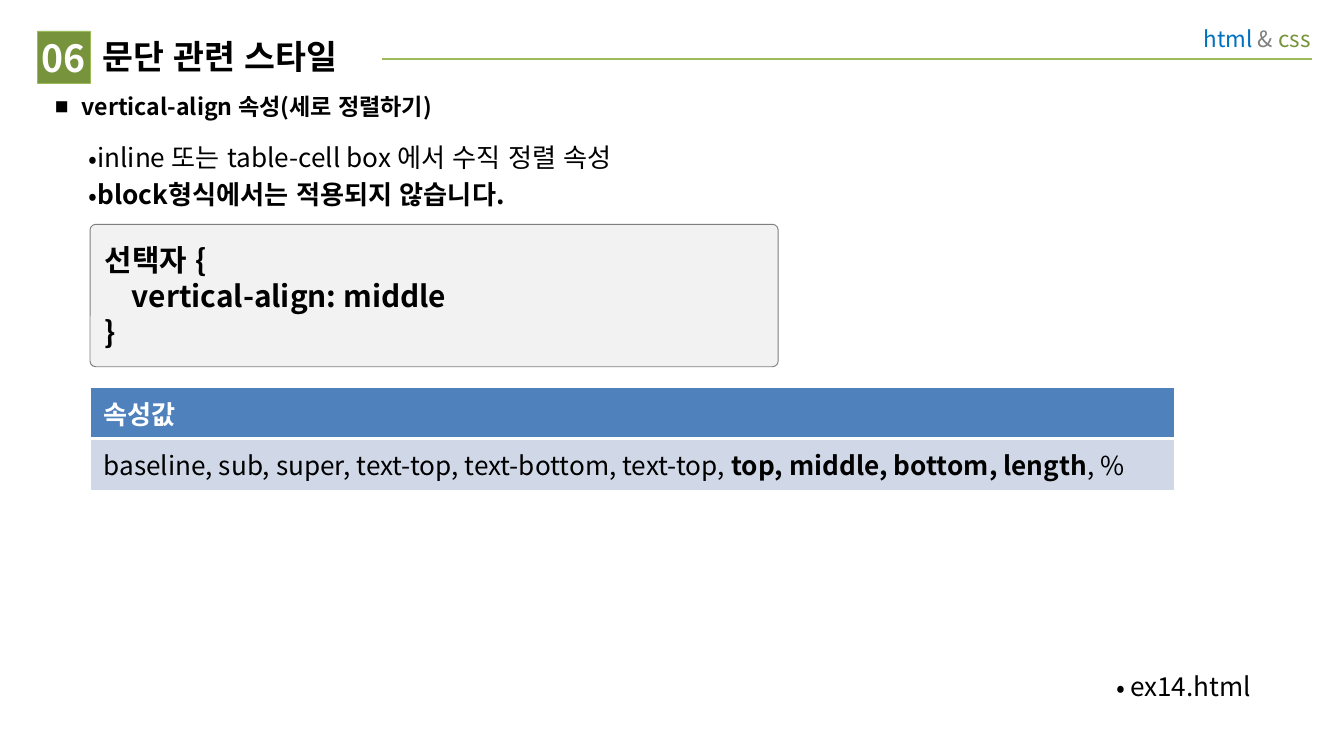
from lxml import etree
from pptx import Presentation
from pptx.dml.color import RGBColor
from pptx.enum.lang import MSO_LANGUAGE_ID
from pptx.enum.shapes import MSO_CONNECTOR, MSO_SHAPE
from pptx.enum.text import MSO_ANCHOR, MSO_AUTO_SIZE, PP_ALIGN
from pptx.oxml.ns import qn
from pptx.util import Emu, Inches, Pt

LINE = MSO_CONNECTOR.STRAIGHT
RECT, ROUND = MSO_SHAPE.RECTANGLE, MSO_SHAPE.ROUNDED_RECTANGLE
TOP, MIDDLE = MSO_ANCHOR.TOP, MSO_ANCHOR.MIDDLE
LEFT, CENTER, RIGHT = PP_ALIGN.LEFT, PP_ALIGN.CENTER, PP_ALIGN.RIGHT
NO_FIT = MSO_AUTO_SIZE.NONE
KOREAN = MSO_LANGUAGE_ID.KOREAN

# On-screen 16:9 page
PAGE = Emu(9144000), Emu(5145088)
FONT = "Noto Sans CJK KR"
COLORS = {
    "black": "000000", "white": "FFFFFF", "blue": "0070C0", "gray": "7F7F7F",
    "green": "77933C", "lime": "9BBB59", "pale": "F2F2F2",
    "head": "4F81BD", "row": "D0D8E8",
}


def color(name):
    return RGBColor.from_string(COLORS[name])


def style(run, size, tint="black", bold=False):
    font = run.font
    font.name, font.size, font.bold = FONT, Pt(size), bold
    font.language_id = KOREAN
    font.color.rgb = color(tint)
    east = etree.SubElement(run._r.get_or_add_rPr(), qn("a:ea"))
    east.set("typeface", FONT)


def add_runs(para, parts, size, align=LEFT):
    """Each part is (text, color, bold)."""
    para.alignment = align
    for text, tint, bold in parts:
        run = para.add_run()
        run.text = text
        style(run, size, tint, bold)


def set_bullet(para, char, margin, hang, scale):
    props = para._p.get_or_add_pPr()
    props.set("marL", str(Inches(margin)))
    props.set("indent", str(-Inches(hang)))
    tint = etree.SubElement(props, qn("a:buClr"))
    etree.SubElement(tint, qn("a:srgbClr")).set("val", COLORS["black"])
    etree.SubElement(props, qn("a:buSzPct")).set("val", str(scale * 1000))
    etree.SubElement(props, qn("a:buFont")).set("typeface", FONT)
    etree.SubElement(props, qn("a:buChar")).set("char", char)


def set_frame(frame, insets, anchor=TOP, wrap=True):
    frame.auto_size = NO_FIT
    frame.word_wrap = wrap
    frame.vertical_anchor = anchor
    (frame.margin_left, frame.margin_top,
     frame.margin_right, frame.margin_bottom) = map(Inches, insets)


def add_box(slide, area, insets=(0.1, 0.05, 0.1, 0.05), wrap=True):
    frame = slide.shapes.add_textbox(*map(Inches, area)).text_frame
    set_frame(frame, insets, wrap=wrap)
    return frame


def add_list(slide, area, items, size, char, margin, hang,
             scale=100, wrap=True):
    """Each item is (text, bold)."""
    frame = add_box(slide, area, wrap=wrap)
    for i, (text, bold) in enumerate(items):
        para = frame.add_paragraph() if i else frame.paragraphs[0]
        set_bullet(para, char, margin, hang, scale)
        if i:
            para.space_before = Pt(3.5)
        add_runs(para, [(text, "black", bold)], size)


def add_panel(slide, kind, area, fill, edge, width, insets):
    shape = slide.shapes.add_shape(kind, *map(Inches, area))
    shape.shadow.inherit = False
    shape.fill.solid()
    shape.fill.fore_color.rgb = color(fill)
    shape.line.color.rgb = color(edge)
    shape.line.width = Pt(width)
    set_frame(shape.text_frame, insets, MIDDLE)
    return shape


def add_rule(slide, left, right, y):
    rule = slide.shapes.add_connector(
        LINE, Inches(left), Inches(y), Inches(right), Inches(y))
    rule.line.color.rgb = color("lime")
    rule.line.width = Pt(1.5)
    etree.SubElement(rule._element.spPr, qn("a:effectLst"))


def set_title(slide, text):
    title = slide.shapes.title
    title.left, title.top, title.width, title.height = map(
        Inches, (0.68, 0.23, 2.16, 0.39))
    frame = title.text_frame
    set_frame(frame, (0.08, 0.04, 0, 0.04))
    add_runs(frame.paragraphs[0], [(text, "black", True)], 18)


def set_cell(cell, parts, fill, top, bottom):
    add_runs(cell.text_frame.paragraphs[0], parts, 14)
    props = cell._tc.get_or_add_tcPr()
    for tag, width in (("lnL", 0.45), ("lnR", 0.45),
                       ("lnT", top), ("lnB", bottom)):
        edge = etree.SubElement(props, qn("a:" + tag))
        edge.set("w", str(Pt(width)))
        paint = etree.SubElement(edge, qn("a:solidFill"))
        etree.SubElement(paint, qn("a:srgbClr")).set("val", COLORS["white"])
    cell.fill.solid()
    cell.fill.fore_color.rgb = color(fill)


def add_values(slide):
    area = map(Inches, (0.67, 2.88, 8.07, 0.73))
    table = slide.shapes.add_table(2, 1, *area).table
    set_cell(table.cell(0, 0), [("속성값", "white", True)], "head", 0.45, 1.47)
    set_cell(table.cell(1, 0), [
        ("baseline, sub, super, text-top, text-bottom, text-top, ",
         "black", False),
        ("top, middle, bottom, length", "black", True),
        (", %", "black", False),
    ], "row", 1.47, 0.45)


def main():
    prs = Presentation()
    prs.slide_width, prs.slide_height = PAGE
    slide = prs.slides.add_slide(prs.slide_layouts[5])

    # Header: rule, course name, title and number badge
    add_rule(slide, 2.84, 9.76, 0.44)
    course = add_box(slide, (8.31, 0.11, 1.54, 0.36), (0.1, 0.08, 0.1, 0.08))
    add_runs(course.paragraphs[0], [
        ("html ", "blue", False), ("& ", "gray", False),
        ("css", "green", False)], 12, RIGHT)
    set_title(slide, "문단 관련 스타일")
    badge = add_panel(slide, RECT, (0.28, 0.23, 0.39, 0.39),
                      "green", "lime", 0.25, (0, 0, 0, 0))
    add_runs(badge.text_frame.paragraphs[0],
             [("06", "white", True)], 20, CENTER)

    # Topic and its notes
    add_list(slide, (0.31, 0.64, 9.45, 0.32),
             [("vertical-align 속성(세로 정렬하기)", True)],
             12.4, "■", 0.2, 0.2, scale=60)
    add_list(slide, (0.31, 1, 9.45, 0.39), [
        ("inline 또는 table-cell box 에서 수직 정렬 속성", False),
        ("block형식에서는 적용되지 않습니다.", True),
    ], 14, "•", 0.29, 0.04)

    # Code sample
    code = add_panel(slide, ROUND, (0.67, 1.67, 5.12, 1.06),
                     "pale", "gray", 0.5, (0.1, 0.05, 0.1, 0.05))
    code.adjustments[0] = 0.04
    frame = code.text_frame
    frame.text = "선택자 {\n    vertical-align: middle\n}"
    for para in frame.paragraphs:
        para.alignment = LEFT
        style(para.runs[0], 16, bold=True)

    # Property values and example file
    add_values(slide)
    add_list(slide, (8.21, 4.94, 1.21, 0.34), [("ex14.html", False)],
             14, "•", 0.1, 0.1, wrap=False)

    prs.save("out.pptx")


if __name__ == "__main__":
    main()
